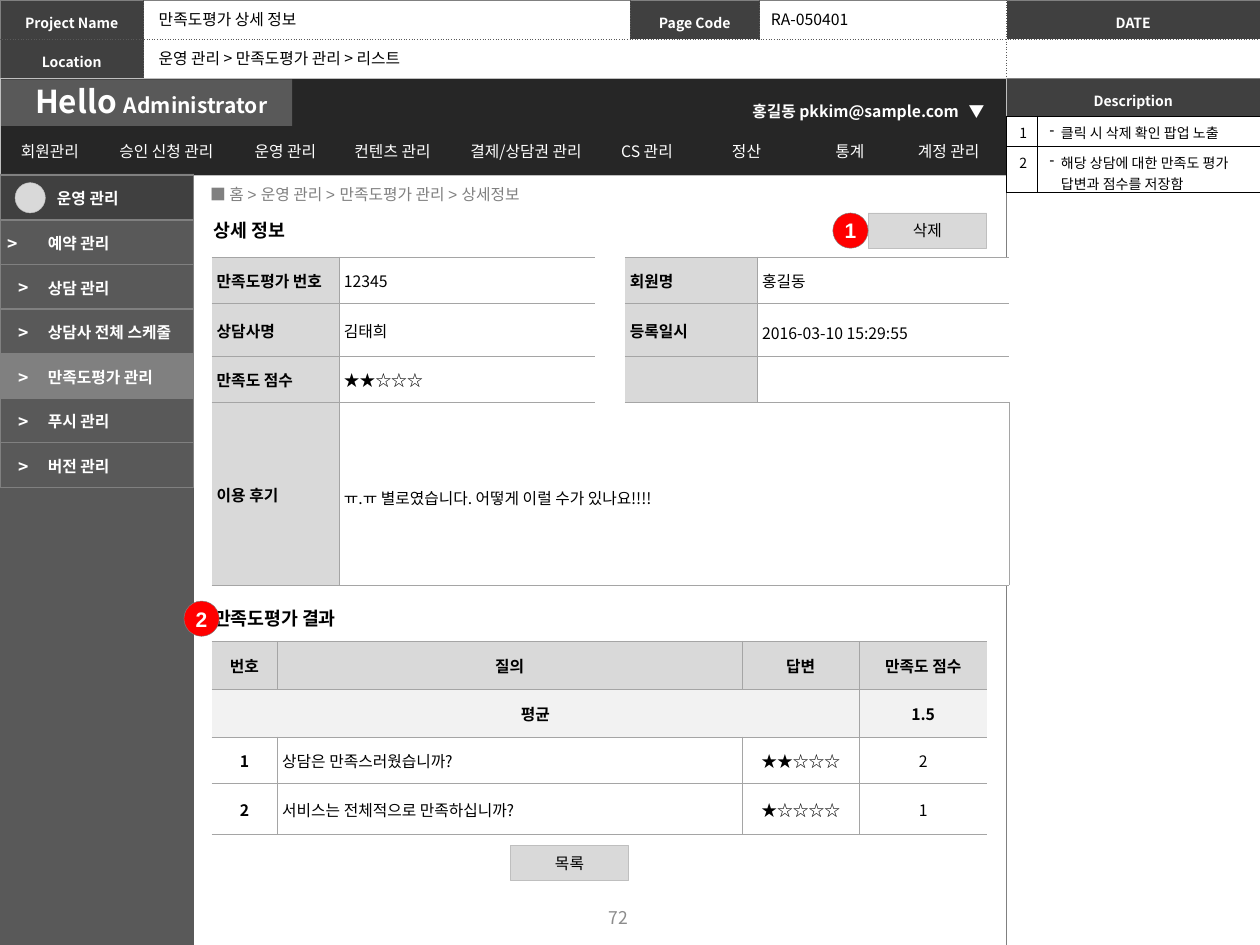
from dataclasses import dataclass

from pptx import Presentation
from pptx.dml.color import RGBColor
from pptx.enum.shapes import MSO_SHAPE
from pptx.enum.text import MSO_ANCHOR, MSO_AUTO_SIZE, PP_ALIGN
from pptx.oxml.xmlchemy import OxmlElement
from pptx.util import Pt

RECTANGLE, OVAL = MSO_SHAPE.RECTANGLE, MSO_SHAPE.OVAL
TOP, MIDDLE = MSO_ANCHOR.TOP, MSO_ANCHOR.MIDDLE
LEFT, CENTER = PP_ALIGN.LEFT, PP_ALIGN.CENTER
FIT = MSO_AUTO_SIZE.SHAPE_TO_FIT_TEXT


@dataclass(frozen=True)
class Theme:
    font: str = "Noto Sans CJK KR"
    latin: str = "Arial"
    black: str = "000000"
    white: str = "FFFFFF"
    bar: str = "262626"
    dark: str = "404040"
    side: str = "595959"
    gray: str = "808080"
    rule: str = "A5A5A5"
    edge: str = "BFBFBF"
    light: str = "D9D9D9"
    pale: str = "F2F2F2"
    number: str = "8C8C8C"
    red: str = "FF0000"
    small: float = 8
    text: float = 9
    arrow: float = 10
    heading: float = 10.5
    large: float = 12
    brand: float = 18


@dataclass(frozen=True)
class Edges:
    rim_h: tuple = None
    rim_v: tuple = None
    rule_h: tuple = None
    rule_v: tuple = None


THEME = Theme()
NORMAL_INSETS = (7.2, 3.6, 7.2, 3.6)
TIGHT_INSETS = (0.72, 0.72, 0.72, 0)
LABEL_INSETS = (2.9, 0.72, 0.72, 0)


def add_span(para, text, size=THEME.text, color=THEME.black, bold=False, font=THEME.font):
    span = para.add_run()
    span.text = text
    span.font.size, span.font.bold, span.font.name = Pt(size), bold, font
    span.font.color.rgb = RGBColor.from_string(color)
    east = OxmlElement("a:ea")
    east.set("typeface", THEME.font)
    span.font._element.append(east)


def write(frame, text, align=LEFT, spacing=1.0, **style):
    para = frame.paragraphs[0]
    para.alignment, para.line_spacing = align, spacing
    add_span(para, text, **style)
    return para


def add_bullet(para, indent):
    properties = para._p.get_or_add_pPr()
    properties.set("marL", str(Pt(indent)))
    properties.set("indent", str(-Pt(indent)))
    bullet = OxmlElement("a:buChar")
    bullet.set("char", "-")
    properties.append(bullet)


def set_frame(frame, anchor=TOP, wrap=True, insets=NORMAL_INSETS):
    frame.word_wrap, frame.vertical_anchor = wrap, anchor
    (frame.margin_left, frame.margin_top,
     frame.margin_right, frame.margin_bottom) = map(Pt, insets)


def add_label(page, at, text, anchor=TOP, wrap=False, insets=NORMAL_INSETS, **style):
    box = page.shapes.add_textbox(*map(Pt, at))
    set_frame(box.text_frame, anchor, wrap, insets)
    if not wrap:
        box.text_frame.auto_size = FIT
    return write(box.text_frame, text, **style)


def set_title(page, at, text):
    title = page.shapes.title
    title.left, title.top, title.width, title.height = map(Pt, at)
    set_frame(title.text_frame, wrap=False)
    title.text_frame.auto_size = FIT
    write(title.text_frame, text)


def add_block(page, kind, at, fill, line=None, text=None, wrap=True, **style):
    block = page.shapes.add_shape(kind, *map(Pt, at))
    block.shadow.inherit = False
    block.fill.solid()
    block.fill.fore_color.rgb = RGBColor.from_string(fill)
    if line:
        block.line.color.rgb = RGBColor.from_string(line)
        block.line.width = Pt(0.25)
    else:
        block.line.fill.background()
    if text:
        set_frame(block.text_frame, MIDDLE, wrap)
        write(block.text_frame, text, align=CENTER, **style)


def add_badge(page, left, top, text):
    add_block(page, OVAL, (left, top, 20.16, 20.16), THEME.red, THEME.gray, text, wrap=False,
              size=THEME.large, color=THEME.white, bold=True, font=THEME.latin)


def draw_edge(cell, side, line):
    edge = OxmlElement(f"a:ln{side}")
    if line:
        color, width, dash = line
        edge.set("w", str(Pt(width)))
        fill, tone, pattern = map(OxmlElement, ("a:solidFill", "a:srgbClr", "a:prstDash"))
        tone.set("val", color)
        pattern.set("val", dash)
        fill.append(tone)
        edge.extend((fill, pattern))
    else:
        edge.append(OxmlElement("a:noFill"))
    cell._tc.get_or_add_tcPr().append(edge)


def add_grid(page, left, top, columns, rows, edges, gap=None, merge=None):
    frame = page.shapes.add_table(len(rows), len(columns), Pt(left), Pt(top),
                                  Pt(sum(columns)), Pt(sum(rows)))
    table = frame.table
    table.first_row = table.horz_banding = False
    for column, width in zip(table.columns, columns):
        column.width = Pt(width)
    for row, height in zip(table.rows, rows):
        row.height = Pt(height)
    if merge:
        row, first, last = merge
        table.cell(row, first).merge(table.cell(row, last))
    for i in range(len(rows)):
        for j in range(len(columns)):
            cell = table.cell(i, j)
            merged = cell.is_merge_origin or cell.is_spanned
            lines = {
                "L": edges.rim_v if j == 0 else edges.rule_v,
                "R": edges.rim_v if j == len(columns) - 1 else edges.rule_v,
                "T": edges.rim_h if i == 0 else edges.rule_h,
                "B": edges.rim_h if i == len(rows) - 1 else edges.rule_h,
            }
            for side, line in lines.items():
                beside = (j, side) in ((None if gap is None else gap - 1, "R"),
                                       (None if gap is None else gap + 1, "L"))
                hidden = not merged and (j == gap or beside)
                draw_edge(cell, side, None if hidden else line)
            cell.fill.background()
            ending = OxmlElement("a:endParaRPr")
            ending.set("sz", str(int(THEME.small * 100)))
            cell.text_frame.paragraphs[0]._p.append(ending)
    return table


def fill_cell(cell, text="", fill=None, anchor=MIDDLE, insets=TIGHT_INSETS, **style):
    cell.vertical_anchor = anchor
    (cell.margin_left, cell.margin_top,
     cell.margin_right, cell.margin_bottom) = map(Pt, insets)
    if fill:
        cell.fill.solid()
        cell.fill.fore_color.rgb = RGBColor.from_string(fill)
    return write(cell.text_frame, text, **style) if text else None


def add_page_header(page):
    solid, dotted = (THEME.gray, 0.5, "solid"), (THEME.side, 0.5, "sysDot")
    edges = Edges(solid, solid, dotted, dotted)
    header = add_grid(page, 0, 0, (82.08, 277.92, 74.16, 141.12, 144.72), (22.32, 22.32),
                      edges, merge=(1, 1, 3))
    notes = add_grid(page, 575.28, 44.64, (144.72,), (22.32, 473.04), edges)
    for cell, text in ((header.cell(0, 0), "Project Name"), (header.cell(0, 2), "Page Code"),
                       (header.cell(0, 4), "DATE"), (header.cell(1, 0), "Location"),
                       (notes.cell(0, 0), "Description")):
        fill_cell(cell, text, THEME.dark, insets=(2.88,) * 4, align=CENTER, spacing=1.3,
                  size=THEME.small, color=THEME.white, bold=True)
    set_title(page, (83.52, 2.16, 105.84, 18), "만족도평가 상세 정보")
    add_label(page, (83.52, 24.48, 176.4, 18), "운영 관리 > 만족도평가 관리 > 리스트")
    add_label(page, (433.44, 2.16, 59.76, 18), "RA-050401")


def add_menu_bar(page):
    add_block(page, RECTANGLE, (0, 44.64, 575.28, 55.44), THEME.bar, THEME.edge)
    add_block(page, RECTANGLE, (0.72, 45.36, 166.32, 26.64), THEME.side)
    brand = add_label(page, (12.96, 43.2, 150.48, 28.8), "Hello ", size=THEME.brand,
                      color=THEME.white, bold=True)
    add_span(brand, "Administrator", size=THEME.large, color=THEME.white, bold=True)
    line = (THEME.bar, 1, "solid")
    menu = add_grid(page, 1.44, 74.88,
                    (54, 79.2, 56.88, 65.52, 87.12, 51.12, 62.64, 55.44, 57.6), (22.32,),
                    Edges(line, line, line, line))
    names = ("회원관리", "승인 신청 관리", "운영 관리", "컨텐츠 관리", "결제/상담권 관리",
             "CS 관리", "정산", "통계", "계정 관리")
    for j, name in enumerate(names):
        fill_cell(menu.cell(0, j), name, insets=NORMAL_INSETS, align=CENTER, color=THEME.white)
    user = dict(spacing=1.2, color=THEME.white, bold=True)
    add_label(page, (419.04, 52.56, 139.68, 18.72), "홍길동 pkkim@sample.com",
              wrap=True, align=CENTER, **user)
    add_label(page, (546.48, 52.56, 23.76, 18.72), "▼", **user)


def add_details(page):
    line = (THEME.rule, 0.5, "solid")
    table = add_grid(page, 120.96, 146.88, (72.72, 146.16, 5.04, 75.6, 144),
                     (26.2, 30.6, 26.2, 104.4), Edges(line, None, line, line),
                     gap=2, merge=(3, 1, 4))
    content = (("만족도평가 번호", "12345", "회원명", "홍길동"),
               ("상담사명", "김태희", "등록일시", "2016-03-10 15:29:55"),
               ("만족도 점수", "★★☆☆☆", "", ""),
               ("이용 후기", "ㅠ.ㅠ 별로였습니다. 어떻게 이럴 수가 있나요!!!!"))
    spacings = {(1, 4): 1.2, (3, 1): 1.3}
    for i, texts in enumerate(content):
        for j, text in zip((0, 1, 3, 4), texts):
            label = j in (0, 3)
            fill_cell(table.cell(i, j), text, THEME.light if label else THEME.white,
                      insets=LABEL_INSETS, bold=label, spacing=spacings.get((i, j), 1.0))


def add_results(page):
    line = (THEME.rule, 0.5, "solid")
    table = add_grid(page, 120.96, 366.48, (37.44, 265.68, 66.96, 73.08),
                     (27.36, 27.36, 26.64, 28.8), Edges(line, None, line, line),
                     merge=(1, 0, 2))
    content = (("번호", "질의", "답변", "만족도 점수"),
               ("평균", None, None, "1.5"),
               ("1", "상담은 만족스러웠습니까?", "★★☆☆☆", "2"),
               ("2", "서비스는 전체적으로 만족하십니까?", "★☆☆☆☆", "1"))
    fills = (THEME.light, THEME.pale, THEME.white, THEME.white)
    for i, texts in enumerate(content):
        for j, text in enumerate(texts):
            question = i > 1 and j == 1
            if text:
                fill_cell(table.cell(i, j), text, fills[i], bold=i < 2 or j == 0,
                          insets=LABEL_INSETS if question else TIGHT_INSETS,
                          align=LEFT if question else CENTER)


def add_sidebar(page):
    add_block(page, RECTANGLE, (0, 99.36, 110.88, 440.64), THEME.side)
    line = (THEME.gray, 1, "solid")
    names = ("운영 관리", "예약 관리", "상담 관리", "상담사 전체 스케줄",
             "만족도평가 관리", "푸시 관리", "버전 관리")
    table = add_grid(page, 0, 100.08, (26.64, 84), (25.5,) * len(names),
                     Edges(line, line, line))
    for i, name in enumerate(names):
        fill = {0: THEME.dark, 4: THEME.gray}.get(i, THEME.side)
        arrow_insets = (0.72, 0.72, 12.5, 0) if i == 1 else TIGHT_INSETS
        fill_cell(table.cell(i, 0), ">" if i else "", fill, insets=arrow_insets, align=CENTER,
                  size=THEME.arrow, color=THEME.white, bold=True)
        fill_cell(table.cell(i, 1), name, fill, color=THEME.white, bold=True,
                  insets=TIGHT_INSETS if i else (5.9, 0.72, 0.72, 0))
    add_block(page, OVAL, (8.64, 104.4, 17.28, 17.28), THEME.light, THEME.edge)


def add_descriptions(page):
    line = (THEME.black, 0.5, "solid")
    table = add_grid(page, 575.28, 66.24, (16.56, 127.44), (17.28, 26),
                     Edges(line, line, line, line))
    notes = ("클릭 시 삭제 확인 팝업 노출", "해당 상담에 대한 만족도 평가 답변과 점수를 저장함")
    style = dict(fill=THEME.white, anchor=TOP, insets=NORMAL_INSETS, size=THEME.small)
    for i, note in enumerate(notes):
        fill_cell(table.cell(i, 0), str(i + 1), **style)
        add_bullet(fill_cell(table.cell(i, 1), note, font=THEME.latin, **style), 6.48)


def main():
    deck = Presentation()
    deck.slide_width, deck.slide_height = Pt(720), Pt(540)
    page = deck.slides.add_slide(deck.slide_layouts[5])
    add_page_header(page)
    add_menu_bar(page)
    add_label(page, (105.12, 98.64, 447.84, 24.48), "■ 홈 > 운영 관리 > 만족도평가 관리 > 상세정보",
              anchor=MIDDLE, wrap=True, insets=(14.9, 3.6, 7.2, 3.6),
              color=THEME.gray, font=THEME.latin)
    for left, top, text in ((496.08, 121.68, "삭제"), (291.6, 483.12, "목록")):
        add_block(page, RECTANGLE, (left, top, 67.68, 20.16), THEME.light, THEME.edge, text)
    add_details(page)
    add_results(page)
    for top, width, text in ((121.68, 60.48, "상세 정보"), (343.44, 92.88, "만족도평가 결과")):
        add_label(page, (115.2, top, width, 20.16), text, size=THEME.heading, bold=True)
    add_sidebar(page)
    add_badge(page, 475.92, 121.68, "1")
    add_badge(page, 105.12, 343.44, "2")
    add_descriptions(page)
    add_label(page, (269.28, 509.76, 167.76, 28.8), "72", anchor=MIDDLE, wrap=True,
              align=CENTER, size=THEME.arrow, color=THEME.number)
    deck.save("out.pptx")


if __name__ == "__main__":
    main()
